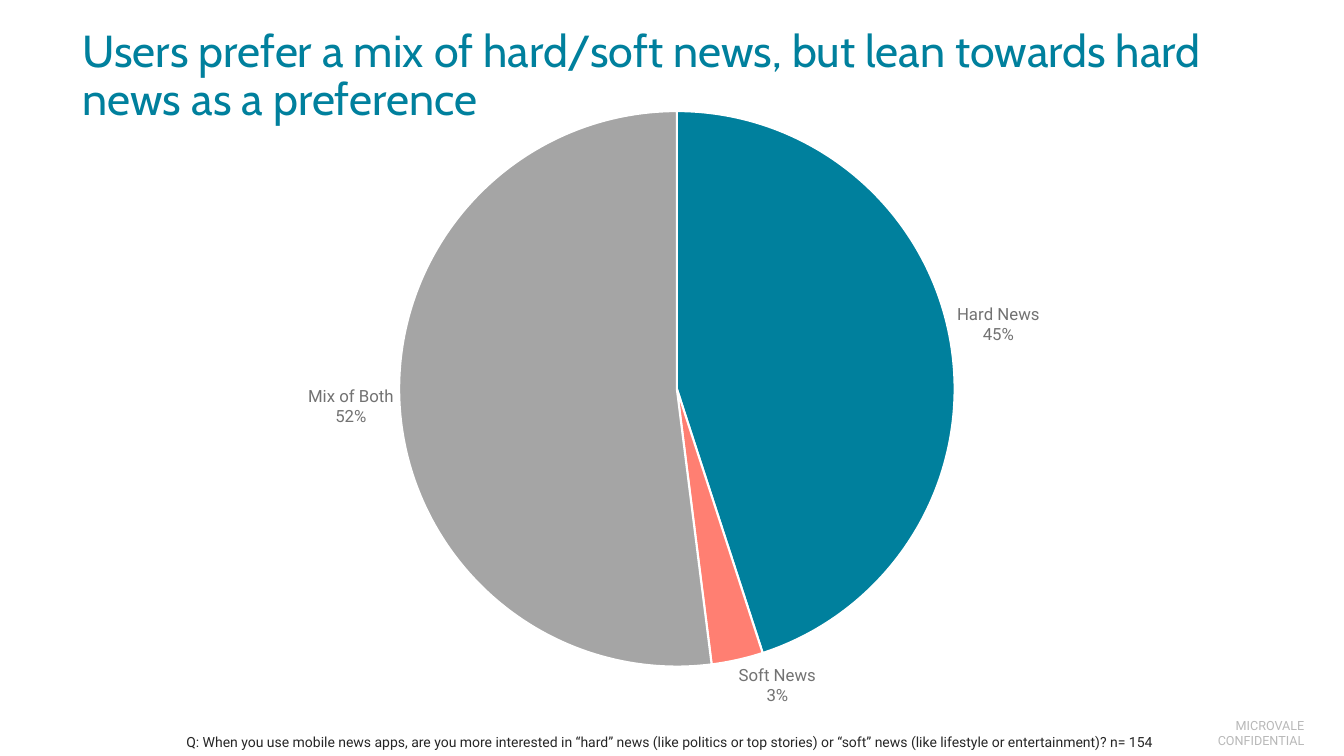
"""Build the news preference slide with its pie chart."""
import dataclasses

import pptx
import pptx.chart.chart
import pptx.chart.data
import pptx.dml.color
import pptx.enum.chart
import pptx.enum.text
import pptx.oxml
import pptx.oxml.ns
import pptx.slide
import pptx.util

Cm = pptx.util.Cm
Pt = pptx.util.Pt
Align = pptx.enum.text.PP_ALIGN
Anchor = pptx.enum.text.MSO_ANCHOR


@dataclasses.dataclass(frozen=True)
class Theme:
    teal: str = "00809D"
    coral: str = "FF7F72"
    silver: str = "A5A5A5"
    slate: str = "727272"
    ink: str = "262626"
    white: str = "FFFFFF"
    head: str = "Cabin"
    body: str = "Roboto"
    title: float = 32
    label: float = 12
    note: float = 10
    mark: float = 9


@dataclasses.dataclass(frozen=True)
class Box:
    left: float
    top: float
    width: float
    height: float

    def place(self) -> list[pptx.util.Length]:
        return [Cm(self.left), Cm(self.top), Cm(self.width), Cm(self.height)]


@dataclasses.dataclass(frozen=True)
class Label:
    text: str
    box: Box
    size: float
    color: str
    font: str
    align: Align
    anchor: Anchor = Anchor.TOP
    side: float = 0
    edge: float = 0
    lead: float = 1
    alpha: int = 100


@dataclasses.dataclass(frozen=True)
class Slice:
    name: str
    value: int
    color: str


THEME = Theme()
LABELS = [
    Label("MICROVALE CONFIDENTIAL", Box(30.32, 18.08, 2.55, 0.77), THEME.mark,
          THEME.slate, THEME.body, Align.RIGHT, alpha=50),
    Label("Users prefer a mix of hard/soft news, but lean towards hard news as a preference",
          Box(2.08, 0.61, 29.21, 2.67), THEME.title, THEME.teal, THEME.head,
          Align.LEFT, Anchor.MIDDLE, edge=0.13, lead=0.9),
    Label("Q: When you use mobile news apps, are you more interested in “hard” news "
          "(like politics or top stories) or “soft” news (like lifestyle or "
          "entertainment)? n= 154",
          Box(3.38, 18.36, 26.97, 0.69), THEME.note, THEME.ink, THEME.body,
          Align.CENTER, side=0.25, edge=0.13),
]
SLICES = [
    Slice("Hard News", 45, THEME.teal),
    Slice("Soft News", 3, THEME.coral),
    Slice("Mix of Both", 52, THEME.silver),
]
CHART = Box(4.93, 2.44, 23.88, 15.7)
PLOT = Box(10.06, 2.8, 14, 14)


def style(font: pptx.text.text.Font, name: str, size: float, color: str) -> None:
    font.name = name
    font.size = Pt(size)
    font.color.rgb = pptx.dml.color.RGBColor.from_string(color)


def write(slide: pptx.slide.Slide, label: Label) -> None:
    shape = slide.shapes.add_textbox(*label.box.place())
    frame = shape.text_frame
    frame.word_wrap = True
    frame.vertical_anchor = label.anchor
    frame.margin_left = frame.margin_right = Cm(label.side)
    frame.margin_top = frame.margin_bottom = Cm(label.edge)
    para = frame.paragraphs[0]
    para.alignment = label.align
    para.line_spacing = label.lead
    run = para.add_run()
    run.text = label.text
    style(run.font, label.font, label.size, label.color)
    if label.alpha < 100:
        qn = pptx.oxml.ns.qn
        for tint in shape.element.iter(qn("a:srgbClr")):
            alpha = pptx.oxml.parse_xml(
                f'<a:alpha {pptx.oxml.ns.nsdecls("a")} val="{label.alpha * 1000}"/>')
            tint.append(alpha)


def fix_plot(chart: pptx.chart.chart.Chart) -> None:
    qn = pptx.oxml.ns.qn
    area = chart.element.find(".//" + qn("c:plotArea"))
    old = area.find(qn("c:layout"))
    if old is not None:
        area.remove(old)
    parts = {
        "x": (PLOT.left - CHART.left) / CHART.width,
        "y": (PLOT.top - CHART.top) / CHART.height,
        "w": PLOT.width / CHART.width,
        "h": PLOT.height / CHART.height,
    }
    sizes = "".join(f'<c:{key} val="{part:.4f}"/>' for key, part in parts.items())
    area.insert(0, pptx.oxml.parse_xml(
        f'<c:layout {pptx.oxml.ns.nsdecls("c")}><c:manualLayout>'
        '<c:layoutTarget val="inner"/><c:xMode val="edge"/><c:yMode val="edge"/>'
        f'{sizes}</c:manualLayout></c:layout>'))


def draw_pie(slide: pptx.slide.Slide, slices: list[Slice]) -> None:
    data = pptx.chart.data.CategoryChartData()
    data.categories = [item.name for item in slices]
    data.add_series("Series 1", [item.value for item in slices])
    kind = pptx.enum.chart.XL_CHART_TYPE.PIE
    chart = slide.shapes.add_chart(kind, *CHART.place(), data).chart
    chart.has_legend = False
    chart.has_title = False
    style(chart.font, THEME.body, THEME.note, THEME.ink)
    plot = chart.plots[0]
    plot.vary_by_categories = True
    series = plot.series[0]
    for index, item in enumerate(slices):
        form = series.points[index].format
        form.fill.solid()
        form.fill.fore_color.rgb = pptx.dml.color.RGBColor.from_string(item.color)
        form.line.color.rgb = pptx.dml.color.RGBColor.from_string(THEME.white)
        form.line.width = Pt(1.5)
    tags = series.data_labels
    tags.show_category_name = True
    tags.show_percentage = True
    tags.show_value = False
    tags.number_format = "0%"
    tags.number_format_is_linked = False
    tags.position = pptx.enum.chart.XL_LABEL_POSITION.OUTSIDE_END
    style(tags.font, THEME.body, THEME.label, THEME.slate)
    gap = pptx.oxml.parse_xml(
        f'<c:separator {pptx.oxml.ns.nsdecls("c")}>\n</c:separator>')
    mark = tags.show_percentage and chart.element.find(
        ".//" + pptx.oxml.ns.qn("c:ser") + "/" + pptx.oxml.ns.qn("c:dLbls")
        + "/" + pptx.oxml.ns.qn("c:showBubbleSize"))
    if mark is not None:
        mark.addnext(gap)
    fix_plot(chart)


def main() -> None:
    deck = pptx.Presentation()
    deck.slide_width = Cm(33.87)
    deck.slide_height = Cm(19.05)
    slide = deck.slides.add_slide(deck.slide_layouts[6])
    mark, title, note = LABELS
    write(slide, mark)
    write(slide, title)
    draw_pie(slide, SLICES)
    write(slide, note)
    deck.save("out.pptx")


if __name__ == "__main__":
    main()
